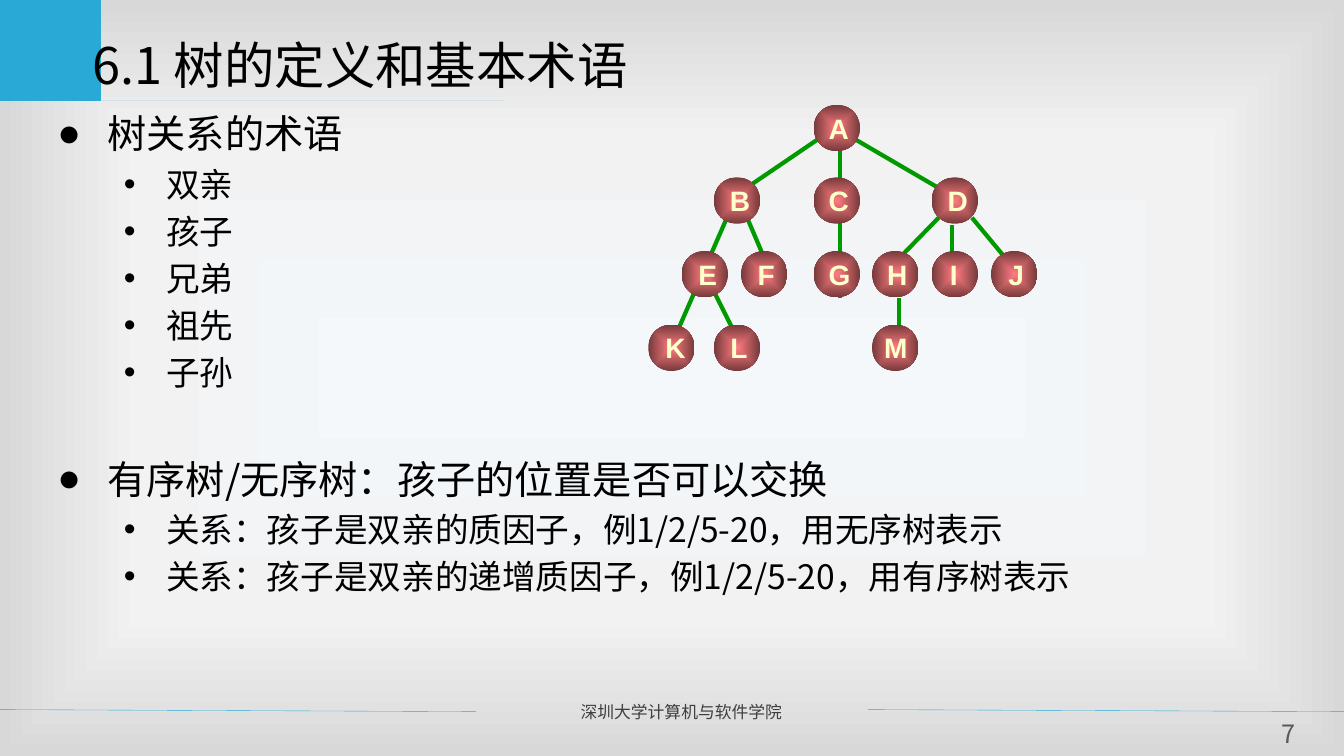
from pptx import Presentation
from pptx.dml.color import RGBColor
from pptx.enum.shapes import MSO_CONNECTOR, MSO_SHAPE
from pptx.enum.text import MSO_ANCHOR, PP_ALIGN
from pptx.oxml import parse_xml
from pptx.oxml.ns import nsdecls, qn
from pptx.oxml.xmlchemy import OxmlElement
from pptx.util import Inches, Pt

SANS, LATIN = "Noto Sans CJK SC", "Arial"
BLACK, BLUE, GREEN, CREAM = "000000", "28A9D6", "009900", "FFFFCC"
GLOW = [(0, "FF7C80"), (100, "76393B")]
PAGE = [(0, "F4F8FB"), (63, "F2F2F2"), (100, "D8D8D8")]

LOGO = [(0.82, 0.46), (0.83, 0.46), (0.83, 0.91), (5.4, 0.91), (5.4, 0.92),
        (0.77, 0.92), (0.77, 0.48), (0.59, 0.48), (0.59, 0.92), (0.19, 0.92),
        (0.19, 0.46), (0.32, 0.46), (0.32, 0.9), (0.49, 0.9), (0.49, 0.46)]

# level, text
TERMS = [
    (0, "树关系的术语"),
    (1, "双亲"), (1, "孩子"), (1, "兄弟"), (1, "祖先"), (1, "子孙"),
    (0, "有序树/无序树：孩子的位置是否可以交换"),
    (1, "关系：孩子是双亲的质因子，例1/2/5-20，用无序树表示"),
    (1, "关系：孩子是双亲的递增质因子，例1/2/5-20，用有序树表示"),
]
# bullet, size, left margin, hanging indent
LEVELS = [("●", 28, 0.5, 0.5), ("•", 24, 1.08, 0.42)]

# row top, then letter, node left and label centre
TREE = [
    (1.04, [("A", 8.07, 8.32)]),
    (1.76, [("B", 7.08, 7.34), ("C", 8.07, 8.32), ("D", 9.24, 9.5)]),
    (2.49, [("E", 6.76, 7.02), ("F", 7.35, 7.6), ("G", 8.07, 8.32),
            ("H", 8.65, 8.9), ("I", 9.24, 9.46), ("J", 9.83, 10.08)]),
    (3.22, [("K", 6.43, 6.7), ("L", 7.08, 7.33), ("M", 8.65, 8.87)]),
]
EDGES = [
    (9.64, 2.16, 10.03, 2.63), (9.31, 2.16, 8.92, 2.56),
    (9.44, 2.23, 9.44, 2.56), (8.92, 2.96, 8.92, 3.35),
    (8.46, 1.37, 9.37, 1.9), (8.13, 1.37, 7.35, 1.9),
    (8.33, 1.43, 8.33, 2.96), (7.41, 2.16, 7.61, 2.63),
    (7.08, 2.89, 7.28, 3.29), (7.21, 2.16, 6.63, 3.49),
]


def tint(code):
    return RGBColor.from_string(code)


def blend(owner, kind, stops):
    """Swap the solid fill of owner for a gradient from its centre."""
    marks = "".join(f'<a:gs pos="{pos * 1000}"><a:srgbClr val="{code}"/></a:gs>'
                    for pos, code in stops)
    grad = parse_xml(
        f'<a:gradFill {nsdecls("a")} rotWithShape="1"><a:gsLst>{marks}</a:gsLst>'
        f'<a:path path="{kind}"><a:fillToRect l="50000" t="50000" r="50000" '
        'b="50000"/></a:path></a:gradFill>')
    owner.replace(owner.find(qn("a:solidFill")), grad)


class Board:
    def __init__(self, slide):
        self.slide = slide
        self.shapes = slide.shapes

    def back(self, stops):
        self.slide.background.fill.solid()
        blend(self.slide._element.xpath(".//p:bgPr")[0], "rect", stops)

    def line(self, x1, y1, x2, y2, color, width):
        line = self.shapes.add_connector(
            MSO_CONNECTOR.STRAIGHT, *map(Inches, (x1, y1, x2, y2)))
        line.line.color.rgb = tint(color)
        line.line.width = Pt(width)
        line._element.spPr.append(OxmlElement("a:effectLst"))

    def outline(self, points, color):
        pen = self.shapes.build_freeform(*points[0], scale=Inches(1))
        pen.add_line_segments(points[1:], close=True)
        shape = pen.convert_to_shape()
        shape.shadow.inherit = False
        shape.fill.solid()
        shape.fill.fore_color.rgb = tint(color)
        shape.line.fill.background()

    def node(self, left, top):
        ball = self.shapes.add_shape(
            MSO_SHAPE.OVAL, *map(Inches, (left, top, 0.46, 0.46)))
        ball.shadow.inherit = False
        ball.line.fill.background()
        ball.fill.solid()
        blend(ball._element.spPr, "shape", GLOW)

    def frame(self, left, top, width, height, wrap=True):
        box = self.shapes.add_textbox(*map(Inches, (left, top, width, height)))
        box.text_frame.word_wrap = wrap
        return box.text_frame

    def style(self, para, size, color, font=SANS, bold=False):
        for run in para.runs:
            run.font.size = Pt(size)
            run.font.name = font
            run.font.bold = bold
            run.font.color.rgb = tint(color)
            east = OxmlElement("a:ea")
            east.set("typeface", font)
            run.font._element.find(qn("a:latin")).addnext(east)
        if font == SANS:
            para.line_spacing = Pt(size * 1.2)

    def text(self, box, text, size, color, align=PP_ALIGN.LEFT):
        frame = self.frame(*box)
        frame.text = text
        para = frame.paragraphs[0]
        para.alignment = align
        self.style(para, size, color)
        return frame

    def label(self, mid, top, text):
        frame = self.frame(mid - 0.2, top, 0.4, 0.44, wrap=False)
        frame.vertical_anchor = MSO_ANCHOR.MIDDLE
        frame.text = text
        para = frame.paragraphs[0]
        para.alignment = PP_ALIGN.CENTER
        self.style(para, 20, CREAM, LATIN, True)

    def items(self, box, rows):
        frame = self.frame(*box)
        frame.text = "\n".join(text for _, text in rows)
        for num, (para, (level, _)) in enumerate(zip(frame.paragraphs, rows)):
            mark, size, left, hang = LEVELS[level]
            props = para._p.get_or_add_pPr()
            props.set("marL", str(Inches(left)))
            props.set("indent", str(-Inches(hang)))
            font = OxmlElement("a:buFont")
            font.set("typeface", LATIN)
            char = OxmlElement("a:buChar")
            char.set("char", mark)
            props.extend([font, char])
            self.style(para, size, BLACK)
            if num:
                para.space_before = Pt(4.8 if level else 45)


def main():
    deck = Presentation()
    deck.slide_width, deck.slide_height = Inches(13.33), Inches(7.5)
    board = Board(deck.slides.add_slide(deck.slide_layouts[6]))
    board.back(PAGE)
    board.outline(LOGO, BLUE)
    for left in (-0.01, 8.61):
        board.line(left, 7.04, left + 4.73, 7.06, BLUE, 0.25)
    board.text((5.66, 6.91, 2.85, 0.3), "深圳大学计算机与软件学院",
               12, "3F3F3F", PP_ALIGN.JUSTIFY)

    board.items((0.47, 1.04, 12.13, 5.63), TERMS)
    title = board.text((0.82, 0.24, 12, 0.87), "6.1 树的定义和基本术语", 36, BLACK)
    title.margin_top = Inches(0.1)
    page = board.text((12.48, 7.13, 0.59, 0.31), "7", 18, "595959",
                      PP_ALIGN.CENTER)
    page.margin_left = page.margin_right = 0
    page.margin_top = page.margin_bottom = 0

    for edge in EDGES:
        board.line(*edge, GREEN, 3)
    for top, nodes in TREE:
        for text, left, mid in nodes:
            board.node(left, top)
            board.label(mid, top + 0.01, text)
    deck.save("out.pptx")


if __name__ == "__main__":
    main()
